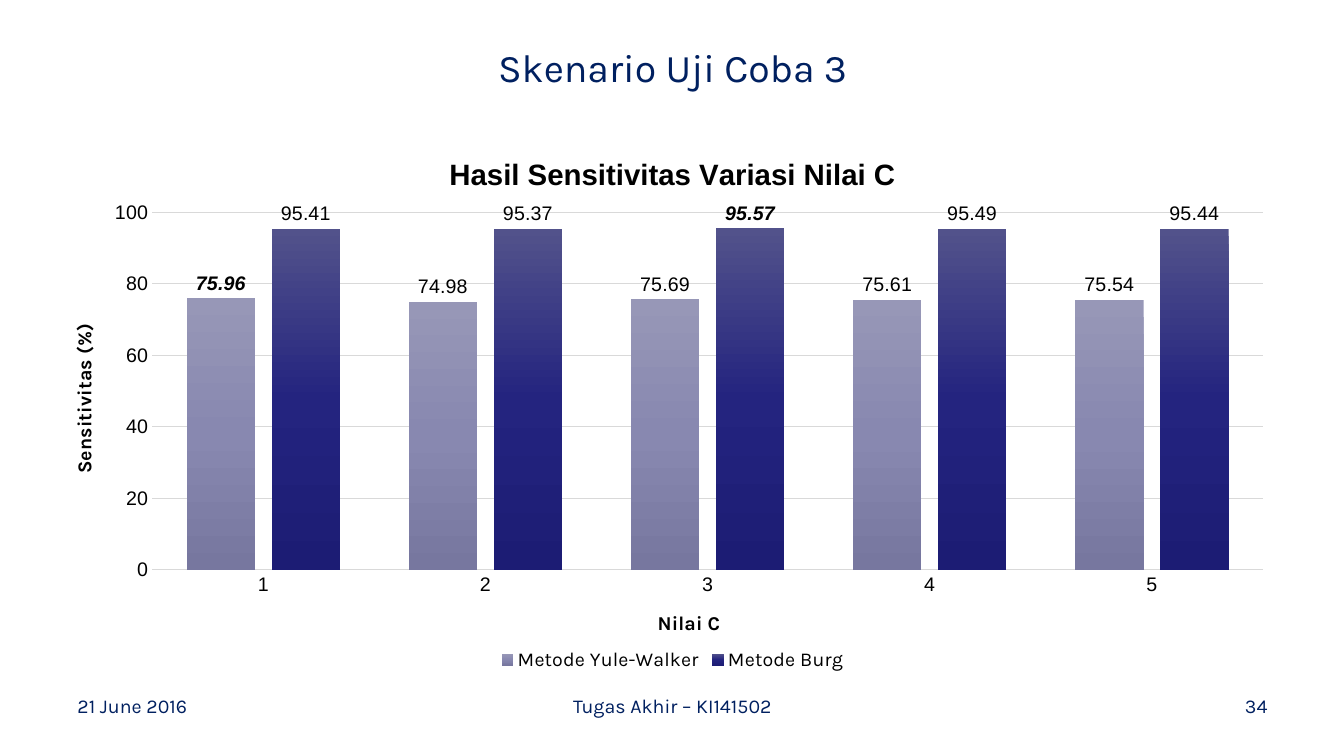
from lxml.etree import SubElement
from pptx import Presentation
from pptx.chart.data import CategoryChartData
from pptx.dml.color import RGBColor
from pptx.enum.chart import XL_CHART_TYPE, XL_LABEL_POSITION, XL_LEGEND_POSITION, XL_TICK_MARK
from pptx.enum.text import MSO_ANCHOR, PP_ALIGN
from pptx.oxml import parse_xml
from pptx.oxml.ns import nsdecls, qn
from pptx.util import Inches, Pt

NAVY = RGBColor(0x00, 0x20, 0x60)
BLACK = RGBColor(0x00, 0x00, 0x00)
GRID_GRAY = RGBColor(0xD9, 0xD9, 0xD9)
# Gradient stops from top to bottom of a column
LAVENDER = [RGBColor(0x97, 0x97, 0xB7), RGBColor(0x88, 0x88, 0xB0), RGBColor(0x77, 0x77, 0x9F)]
INDIGO = [RGBColor(0x52, 0x52, 0x8B), RGBColor(0x24, 0x24, 0x7F), RGBColor(0x1C, 0x1C, 0x74)]

# Name, values, gradient, index of the best value
SERIES = [
    ("Metode Yule-Walker", [75.96, 74.98, 75.69, 75.61, 75.54], LAVENDER, 0),
    ("Metode Burg", [95.41, 95.37, 95.57, 95.49, 95.44], INDIGO, 2),
]
PLOT_AREA = {"x": 0.07, "y": 0.145, "w": 0.918, "h": 0.66}


class SlideBuilder:
    text_font = "Karla"
    chart_font = "Arial"
    small = 14

    def __init__(self, deck):
        self.page = deck.slides.add_slide(deck.slide_layouts[5])

    def style(self, font, name, size, color=BLACK, bold=False, italic=False):
        font.name = name
        font.size = Pt(size)
        font.color.rgb = color
        font.bold = bold
        font.italic = italic

    def add_span(self, para, text, name, size, color=BLACK, bold=False):
        span = para.add_run()
        span.text = text
        self.style(span.font, name, size, color, bold)

    def fill_box(self, box, text, size, align):
        box.text_frame.word_wrap = True
        para = box.text_frame.paragraphs[0]
        para.alignment = align
        self.add_span(para, text, self.text_font, size, NAVY)

    def title(self, text, left, top, width, height):
        box = self.page.shapes.title
        box.left, box.top = Inches(left), Inches(top)
        box.width, box.height = Inches(width), Inches(height)
        box.text_frame.vertical_anchor = MSO_ANCHOR.MIDDLE
        self.fill_box(box, text, 28, PP_ALIGN.CENTER)

    def footer(self, text, left, width, align):
        box = self.page.shapes.add_textbox(Inches(left), Inches(6.83), Inches(width), Inches(0.52))
        self.fill_box(box, text, self.small, align)

    def axis(self, axis, title):
        para = axis.axis_title.text_frame.paragraphs[0]
        self.add_span(para, title, self.text_font, self.small, bold=True)
        axis.major_tick_mark = axis.minor_tick_mark = XL_TICK_MARK.NONE
        self.style(axis.tick_labels.font, self.chart_font, self.small)

    def grid_line(self, line):
        line.color.rgb = GRID_GRAY
        line.width = Pt(0.75)

    def gradient(self, series, colors):
        fill = series.format.fill
        fill.gradient()
        fill.gradient_angle = 270
        stops = next(series._element.iter(qn("a:gsLst")))
        for stop in list(stops):
            stops.remove(stop)
        for position, color in zip((0, 50000, 100000), colors):
            stop = SubElement(stops, qn("a:gs"), pos=str(position))
            SubElement(stop, qn("a:srgbClr"), val=str(color))

    def labels(self, series, best):
        labels = series.data_labels
        labels.show_value = True
        labels.position = XL_LABEL_POSITION.OUTSIDE_END
        self.style(labels.font, self.chart_font, self.small)
        label = series.points[best].data_label
        self.style(label.font, self.chart_font, self.small, bold=True, italic=True)
        label.position = XL_LABEL_POSITION.OUTSIDE_END

    def place_plot(self, chart):
        plot_area = next(chart.element.iter(qn("c:plotArea")))
        for layout in plot_area.findall(qn("c:layout")):
            plot_area.remove(layout)
        edges = "".join(f'<c:{side}Mode val="edge"/>' for side in "xy")
        sizes = "".join(f'<c:{side} val="{value}"/>' for side, value in PLOT_AREA.items())
        plot_area.insert(0, parse_xml(
            f'<c:layout {nsdecls("c")}><c:manualLayout><c:layoutTarget val="inner"/>'
            f"{edges}{sizes}</c:manualLayout></c:layout>"))

    def column_chart(self, title, left, top, width, height):
        data = CategoryChartData()
        data.categories = ["1", "2", "3", "4", "5"]
        for name, values, _, _ in SERIES:
            data.add_series(name, values)
        chart = self.page.shapes.add_chart(
            XL_CHART_TYPE.COLUMN_CLUSTERED, Inches(left), Inches(top),
            Inches(width), Inches(height), data).chart
        self.style(chart.font, self.chart_font, 10)
        para = chart.chart_title.text_frame.paragraphs[0]
        self.add_span(para, title, self.chart_font, 21, bold=True)

        # Axes
        self.axis(chart.category_axis, "Nilai C")
        self.grid_line(chart.category_axis.format.line)
        value_axis = chart.value_axis
        self.axis(value_axis, "Sensitivitas (%)")
        value_axis.minimum_scale, value_axis.maximum_scale = 0, 100
        value_axis.major_unit = 20
        value_axis.format.line.fill.background()
        self.grid_line(value_axis.major_gridlines.format.line)

        # Columns
        plot = chart.plots[0]
        plot.gap_width, plot.overlap = 100, -24
        plot.vary_by_categories = False
        for series, (_, _, colors, best) in zip(plot.series, SERIES):
            self.gradient(series, colors)
            self.labels(series, best)

        # Legend
        chart.has_legend = True
        chart.legend.position = XL_LEGEND_POSITION.BOTTOM
        chart.legend.include_in_layout = False
        self.style(chart.legend.font, self.text_font, self.small)
        self.place_plot(chart)


def main():
    deck = Presentation()
    deck.slide_width, deck.slide_height = Inches(13.33), Inches(7.5)
    slide = SlideBuilder(deck)
    slide.title("Skenario Uji Coba 3", 0.67, 0.2, 12, 0.93)
    slide.column_chart("Hasil Sensitivitas Variasi Nilai C", 0.67, 1.33, 12, 5.37)

    # Footer row
    slide.footer("21 June 2016", 0.67, 3.11, PP_ALIGN.LEFT)
    slide.footer("Tugas Akhir – KI141502", 4.56, 4.22, PP_ALIGN.CENTER)
    slide.footer("34", 9.56, 3.11, PP_ALIGN.RIGHT)
    deck.save("out.pptx")


if __name__ == "__main__":
    main()
